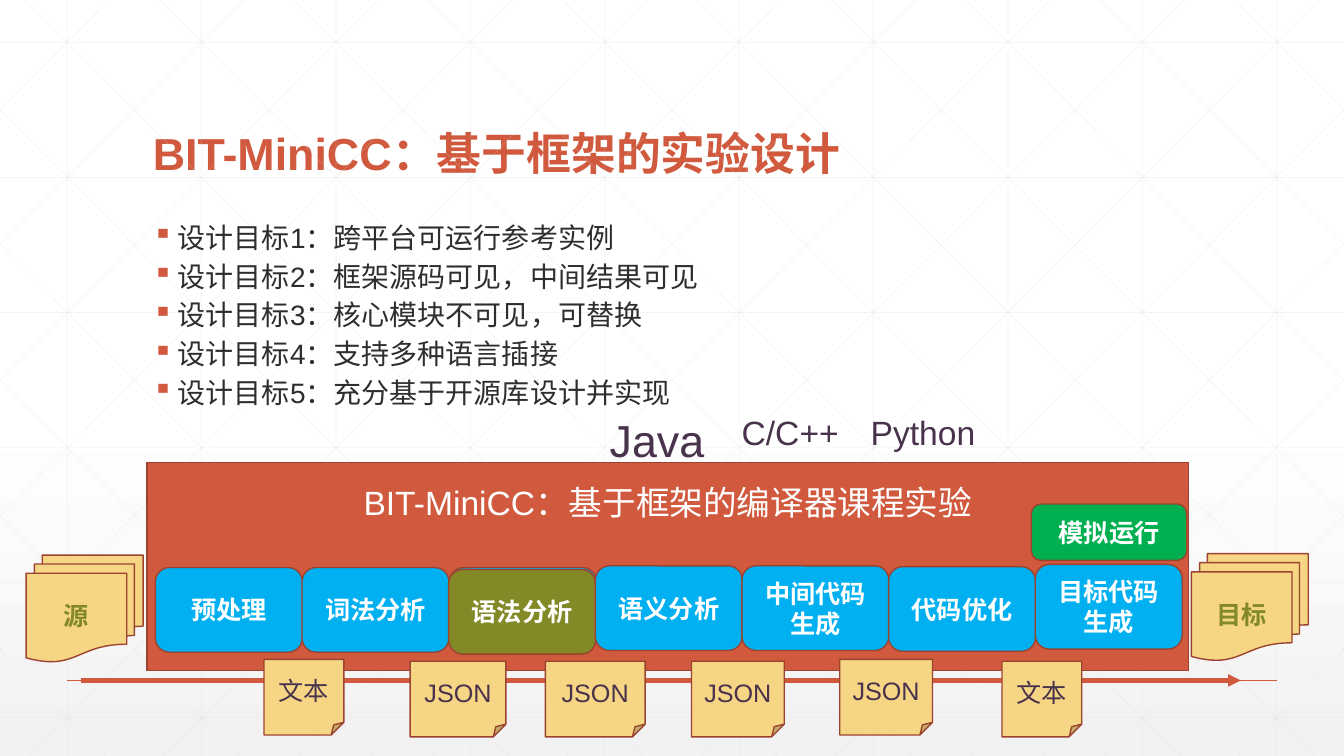
from lxml.etree import SubElement
from pptx import Presentation
from pptx.dml.color import RGBColor
from pptx.enum.shapes import MSO_CONNECTOR as Connector, MSO_SHAPE as Preset
from pptx.enum.text import MSO_ANCHOR as Anchor, PP_ALIGN as Align
from pptx.oxml.ns import qn
from pptx.util import Pt

WIDTH, HEIGHT = 960, 540
WHITE = RGBColor(0xFF, 0xFF, 0xFF)
PALE_GREY = RGBColor(0xF2, 0xF2, 0xF2)
GRID_GREY = RGBColor(0xD9, 0xD9, 0xD9)
RUST = RGBColor(0xD1, 0x5A, 0x3E)
DARK_RUST = RGBColor(0x9B, 0x43, 0x2E)
INK = RGBColor(0x2D, 0x2E, 0x2D)
PLUM = RGBColor(0x49, 0x32, 0x4C)
BLUE = RGBColor(0x00, 0xB0, 0xF0)
GREEN = RGBColor(0x00, 0xB0, 0x50)
OLIVE = RGBColor(0x82, 0x89, 0x26)
SAND = RGBColor(0xF6, 0xD6, 0x85)
CJK_FONT = "Noto Sans CJK SC"

TITLE = {"name": "Arial", "size": Pt(32), "bold": True}
BODY = {"name": "Arial", "size": Pt(20)}
HEADING = {"name": "Arial", "size": Pt(24)}
LANGUAGE = {"name": "Arial", "size": Pt(32)}
STAGE = {"name": CJK_FONT, "size": Pt(18), "bold": True}
FILES = {"name": "Arial", "size": Pt(18), "bold": True}
NOTE = {"name": "Arial", "size": Pt(18)}


class SlideBuilder:
    def __init__(self, slide):
        self.slide = slide

    def background(self):
        fill = self.slide.background.fill
        fill.gradient()
        fill.gradient_angle = 270
        for stop, position, color in zip(fill.gradient_stops, (0.53, 1), (WHITE, PALE_GREY)):
            stop.position = position
            stop.color.rgb = color

    def line(self, x1, y1, x2, y2, color, width, opacity=None, arrow=False):
        connector = self.slide.shapes.add_connector(
            Connector.STRAIGHT, Pt(x1), Pt(y1), Pt(x2), Pt(y2))
        connector.line.color.rgb = color
        connector.line.width = Pt(width)
        properties = connector._element.spPr
        outline = properties.find(qn("a:ln"))
        if opacity:
            SubElement(next(outline.iter(qn("a:srgbClr"))), qn("a:alpha"), val=str(opacity * 1000))
        if arrow:
            SubElement(outline, qn("a:tailEnd"), type="triangle")
        SubElement(properties, qn("a:effectLst"))

    def add_text(self, paragraph, text, style, color, spacing=None):
        run = paragraph.add_run()
        run.text = text
        for name, value in style.items():
            setattr(run.font, name, value)
        run.font.color.rgb = color
        SubElement(run._r.get_or_add_rPr(), qn("a:ea"), typeface=CJK_FONT)
        if spacing:
            paragraph.line_spacing = spacing

    def title(self, text, left, top, width, height):
        shape = self.slide.shapes.title
        box = {"left": left, "top": top, "width": width, "height": height}
        for name, value in box.items():
            setattr(shape, name, Pt(value))
        frame = shape.text_frame
        frame.vertical_anchor = Anchor.BOTTOM
        frame.margin_bottom = Pt(1)
        frame.paragraphs[0].alignment = Align.LEFT
        self.add_text(frame.paragraphs[0], text, TITLE, RUST, 0.9)

    def textbox(self, left, top, width, height):
        shape = self.slide.shapes.add_textbox(Pt(left), Pt(top), Pt(width), Pt(height))
        shape.text_frame.word_wrap = True
        return shape.text_frame

    def label(self, text, left, top, width, height, style):
        frame = self.textbox(left, top, width, height)
        self.add_text(frame.paragraphs[0], text, style, PLUM)

    def bullets(self, items, left, top, width, height):
        frame = self.textbox(left, top, width, height)
        for index, item in enumerate(items):
            paragraph = frame.add_paragraph() if index else frame.paragraphs[0]
            properties = paragraph._p.get_or_add_pPr()
            properties.set("marL", str(Pt(18)))
            properties.set("indent", str(-Pt(18)))
            bullet_color = SubElement(properties, qn("a:buClr"))
            SubElement(bullet_color, qn("a:srgbClr"), val=str(RUST))
            SubElement(properties, qn("a:buChar"), char="▪")
            if index:
                paragraph.space_before = Pt(6)
            self.add_text(paragraph, item, BODY, INK, Pt(21.65))

    def shape(self, preset, left, top, width, height, fill, text="",
              style=STAGE, color=WHITE, spacing=None):
        shape = self.slide.shapes.add_shape(preset, Pt(left), Pt(top), Pt(width), Pt(height))
        shape.shadow.inherit = False
        shape.fill.solid()
        shape.fill.fore_color.rgb = fill
        shape.line.color.rgb = DARK_RUST
        shape.line.width = Pt(1)
        frame = shape.text_frame
        frame.word_wrap = True
        frame.vertical_anchor = Anchor.MIDDLE
        if text:
            frame.paragraphs[0].alignment = Align.CENTER
            self.add_text(frame.paragraphs[0], text, style, color, spacing)
        return shape

    def stage(self, text, left, top, fill=BLUE, width=105, height=60.5):
        self.shape(Preset.ROUNDED_RECTANGLE, left, top, width, height, fill, text,
                   spacing=Pt(21.5))

    def grid(self):
        """Draw the faint square grid and its two mirrored sets of diagonals."""
        step, run = 96, 537
        lines = [(48 + step * i, 0, 48 + step * i, HEIGHT) for i in range(10)]
        lines += [(0, 30.24 + 96.5 * i, WIDTH, 30.24 + 96.5 * i) for i in range(6)]
        for start in range(18 - 5 * step, WIDTH, step):
            x1, x2 = max(start, 0), min(start + run, WIDTH)
            y1, y2 = ((x - start) * HEIGHT / run for x in (x1, x2))
            lines += [(x1, y1, x2, y2), (WIDTH - x1, y1, WIDTH - x2, y2)]
        for ends in lines:
            self.line(*ends, GRID_GREY, 0.5, opacity=25)


def main():
    presentation = Presentation()
    presentation.slide_width, presentation.slide_height = Pt(WIDTH), Pt(HEIGHT)
    builder = SlideBuilder(presentation.slides.add_slide(presentation.slide_layouts[5]))
    builder.background()
    builder.grid()
    builder.line(48, 486, 912, 486, RUST, 1)
    builder.title("BIT-MiniCC：基于框架的实验设计", 102, 39.6, 756, 90)
    goals = ["跨平台可运行参考实例", "框架源码可见，中间结果可见", "核心模块不可见，可替换",
             "支持多种语言插接", "充分基于开源库设计并实现"]
    builder.bullets([f"设计目标{number}：{goal}" for number, goal in enumerate(goals, 1)],
                    102, 156.24, 756, 300)

    framework = builder.shape(Preset.RECTANGLE, 105, 330.5, 744, 148.5, RUST,
                              "BIT-MiniCC：基于框架的编译器课程实验", HEADING)
    framework.text_frame.vertical_anchor = Anchor.TOP
    framework.text_frame.margin_top = Pt(14)
    builder.line(57.6, 486, 886.3, 486, RUST, 3, arrow=True)
    for text, left, top in (("源", 18.7, 396.5), ("目标", 851, 395.5)):
        builder.shape(Preset.FLOWCHART_MULTIDOCUMENT, left, top, 83.5, 76.3, SAND,
                      text, FILES, OLIVE)

    builder.stage("", 321.1, 405.4)
    stages = [("预处理", 405.4, BLUE), ("词法分析", 405.4, BLUE), ("语法分析", 406.8, OLIVE),
              ("语义分析", 404.2, BLUE), ("中间代码生成", 404.2, BLUE),
              ("代码优化", 404.8, BLUE), ("目标代码生成", 403.2, BLUE)]
    for index, (text, top, fill) in enumerate(stages):
        builder.stage(text, 111 + 104.75 * index, top, fill)
    builder.stage("模拟运行", 736.7, 360, GREEN, 111, 40.3)

    builder.label("Java", 428.4, 291, 100, 46, LANGUAGE)
    builder.label("C/C++", 522.7, 291, 108, 36, HEADING)
    builder.label("Python", 614.9, 291, 126.7, 36, HEADING)

    notes = [("文本", 188.6, 471, 57), ("JSON", 293, 472.3, 68.4), ("JSON", 389.5, 472.3, 71.3),
             ("JSON", 493.9, 472.3, 66.3), ("JSON", 599.8, 471, 66.3), ("文本", 715.7, 472.3, 57)]
    for text, left, top, width in notes:
        builder.shape(Preset.FOLDED_CORNER, left, top, width, 54, SAND, text, NOTE, PLUM)
    presentation.save("out.pptx")


if __name__ == "__main__":
    main()
